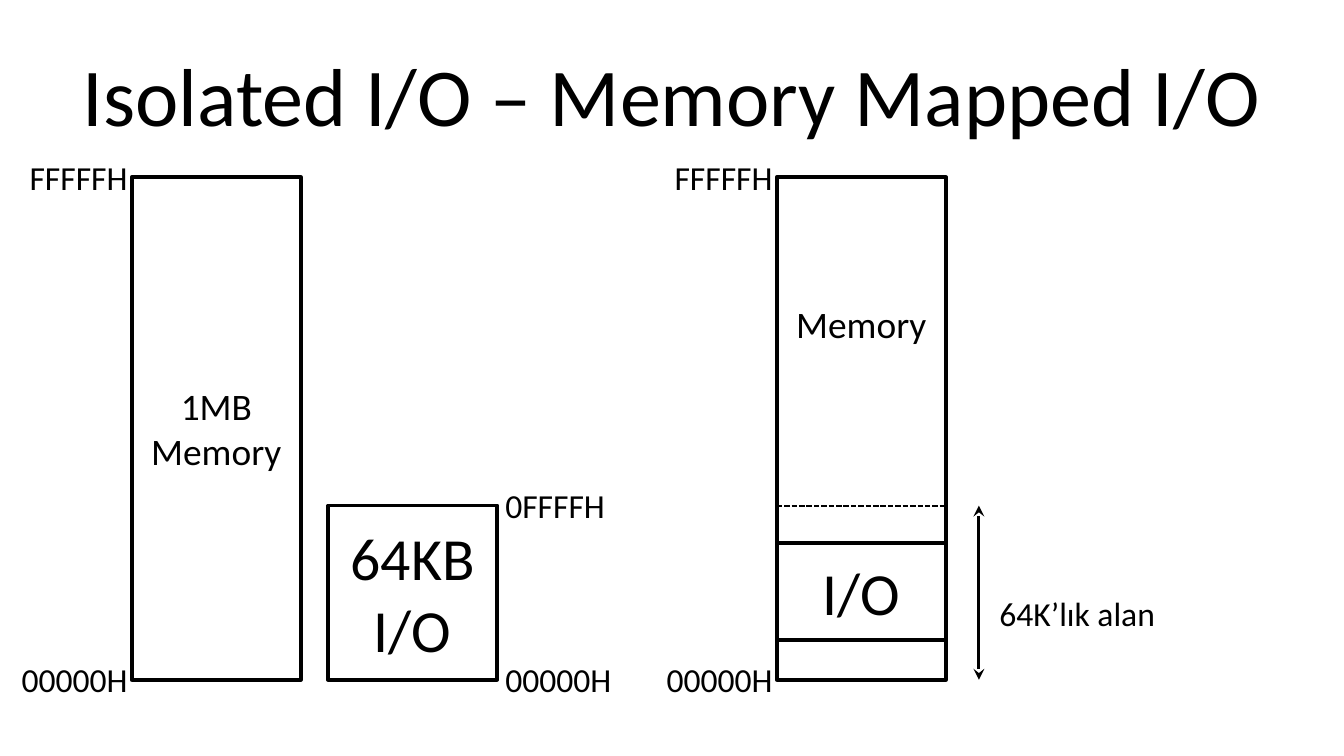
from dataclasses import dataclass

from lxml import etree
from pptx import Presentation
from pptx.dml.color import RGBColor
from pptx.enum.dml import MSO_LINE
from pptx.enum.shapes import MSO_CONNECTOR, MSO_SHAPE
from pptx.enum.text import MSO_ANCHOR, MSO_AUTO_SIZE, PP_ALIGN
from pptx.oxml.ns import qn
from pptx.util import Cm, Pt

RECTANGLE = MSO_SHAPE.RECTANGLE
STRAIGHT = MSO_CONNECTOR.STRAIGHT
DASHED = MSO_LINE.SQUARE_DOT
CENTER = PP_ALIGN.CENTER
LEFT = PP_ALIGN.LEFT
MIDDLE = MSO_ANCHOR.MIDDLE
FIT_SHAPE = MSO_AUTO_SIZE.SHAPE_TO_FIT_TEXT


@dataclass(frozen=True)
class Theme:
    ink: RGBColor = RGBColor(0, 0, 0)
    font: str = "Calibri"
    title: int = 44
    large: int = 32
    medium: int = 20
    label: int = 18


THEME = Theme()

# Shared geometry in centimetres
BLOCK_WIDTH = 3.2
MEMORY_TOP, MEMORY_BOTTOM = 3.35, 12.84
IO_TOP = 9.55
ISOLATED_MEMORY, ISOLATED_IO, MAPPED_MEMORY = 2.49, 6.2, 14.68
ARROW_X = 18.5
LABEL_HEIGHT = 1.02


def write(shape, text, size, alignment):
    text_frame = shape.text_frame
    text_frame.text = text
    for paragraph in text_frame.paragraphs:
        paragraph.alignment = alignment
        for run in paragraph.runs:
            run.font.name = THEME.font
            run.font.size = Pt(size)
            run.font.color.rgb = THEME.ink


def draw_line(start, end, width):
    """Add a straight line without shadow between two (x, y) points."""
    connector = slide.shapes.add_connector(STRAIGHT, *map(Cm, start + end))
    connector.line.color.rgb = THEME.ink
    connector.line.width = Pt(width)
    etree.SubElement(connector._element.spPr, qn("a:effectLst"))
    return connector


presentation = Presentation()
presentation.slide_width = Cm(25.4)
presentation.slide_height = Cm(14.28)
slide = presentation.slides.add_slide(presentation.slide_layouts[6])

title = slide.shapes.add_textbox(Cm(1.27), Cm(0.58), Cm(22.86), Cm(2.39))
title.text_frame.word_wrap = True
title.text_frame.vertical_anchor = MIDDLE
write(title, "Isolated I/O – Memory Mapped I/O", THEME.title, CENTER)

# Address space blocks: text, left, top, bottom, type size, bottom inset
blocks = [
    ("1MB\nMemory", ISOLATED_MEMORY, MEMORY_TOP, MEMORY_BOTTOM, THEME.medium, 0.13),
    ("64KB\nI/O", ISOLATED_IO, IO_TOP, MEMORY_BOTTOM, THEME.large, 0.13),
    ("Memory", MAPPED_MEMORY, MEMORY_TOP, MEMORY_BOTTOM, THEME.medium, 4.1),
    ("I/O", MAPPED_MEMORY, 10.26, 12.09, THEME.large, 0.13),
]
for text, left, top, bottom, size, inset in blocks:
    block = slide.shapes.add_shape(
        RECTANGLE, Cm(left), Cm(top), Cm(BLOCK_WIDTH), Cm(bottom - top))
    block.shadow.inherit = False
    block.fill.background()
    block.line.color.rgb = THEME.ink
    block.line.width = Pt(2)
    block.text_frame.word_wrap = True
    block.text_frame.vertical_anchor = MIDDLE
    block.text_frame.margin_bottom = Cm(inset)
    write(block, text, size, CENTER)

# Extent of the 64K area
extent = draw_line((ARROW_X, IO_TOP), (ARROW_X, MEMORY_BOTTOM), 1.5)
for end in ("a:headEnd", "a:tailEnd"):
    etree.SubElement(extent.line._get_or_add_ln(), qn(end), type="stealth")

boundary = draw_line(
    (MAPPED_MEMORY, IO_TOP), (MAPPED_MEMORY + BLOCK_WIDTH, IO_TOP), 1)
boundary.line.dash_style = DASHED

# Labels: text, left, vertical centre, width
isolated_right = ISOLATED_IO + BLOCK_WIDTH - 0.1
labels = [
    ("64K’lık alan", 18.64, 11.59, 3.48),
    ("00000H", isolated_right, MEMORY_BOTTOM, 2.54),
    ("0FFFFH", isolated_right, IO_TOP, 2.41),
]
for memory_left in (ISOLATED_MEMORY, MAPPED_MEMORY):
    for text, centre, width in (("00000H", MEMORY_BOTTOM, 2.54),
                                ("FFFFFH", MEMORY_TOP, 2.39)):
        labels.append((text, memory_left + 0.21 - width, centre, width))

for text, left, centre, width in labels:
    label = slide.shapes.add_textbox(
        Cm(left), Cm(centre - LABEL_HEIGHT / 2), Cm(width), Cm(LABEL_HEIGHT))
    label.text_frame.word_wrap = False
    label.text_frame.auto_size = FIT_SHAPE
    write(label, text, THEME.label, LEFT)

presentation.save("out.pptx")
